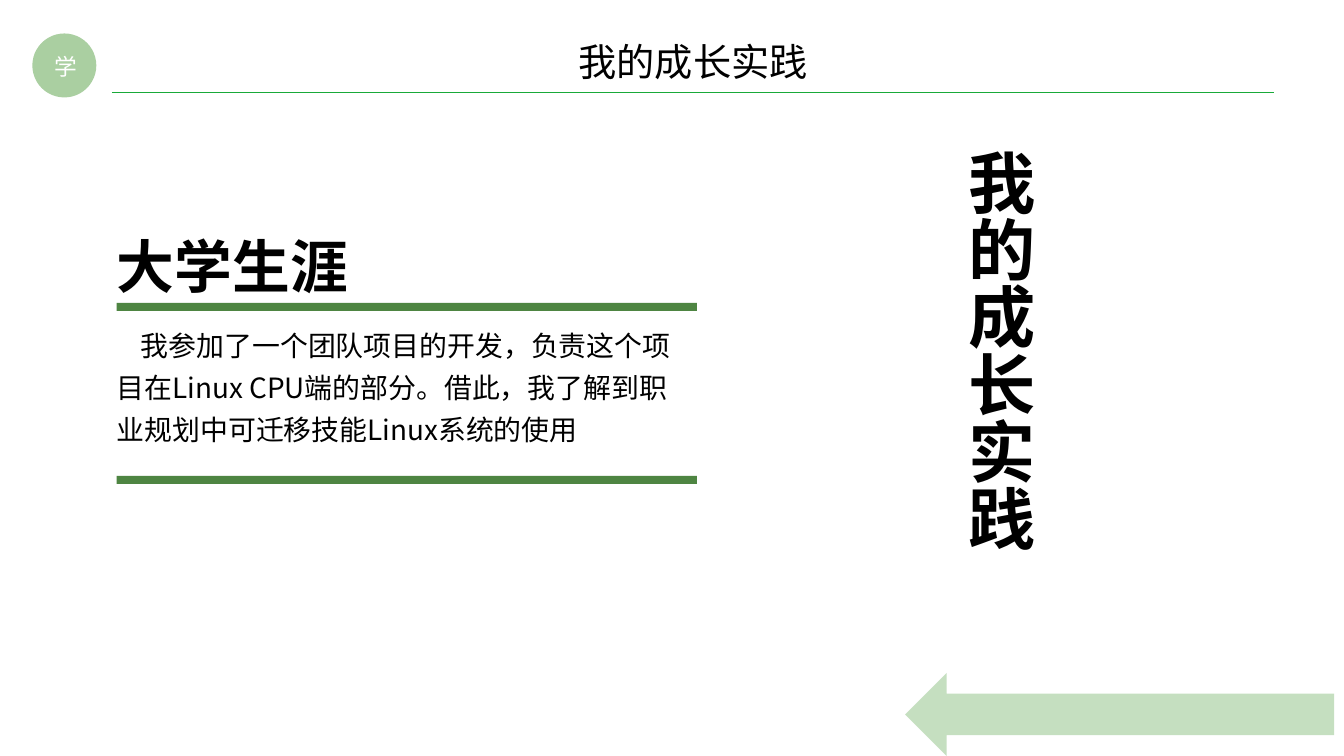
"""Build the slide about growth through practice at university."""
from dataclasses import dataclass

from lxml import etree
from pptx import Presentation
from pptx.dml.color import RGBColor
from pptx.enum.shapes import MSO_CONNECTOR, MSO_SHAPE
from pptx.enum.text import MSO_ANCHOR, MSO_AUTO_SIZE, PP_ALIGN
from pptx.oxml.ns import qn
from pptx.slide import Slide
from pptx.util import Cm, Pt

OVAL, RECTANGLE = MSO_SHAPE.OVAL, MSO_SHAPE.RECTANGLE
LEFT_ARROW, STRAIGHT = MSO_SHAPE.LEFT_ARROW, MSO_CONNECTOR.STRAIGHT
LEFT, CENTER = PP_ALIGN.LEFT, PP_ALIGN.CENTER
TOP, MIDDLE = MSO_ANCHOR.TOP, MSO_ANCHOR.MIDDLE
NO_FIT, FIT_SHAPE = MSO_AUTO_SIZE.NONE, MSO_AUTO_SIZE.SHAPE_TO_FIT_TEXT

FONT = "Noto Sans CJK SC"
TITLE = "我的成长实践"
COLORS = {
    "text": "000000",
    "badge_text": "FFFFFF",
    "badge": "AACFA1",
    "arrow": "8DC182",
    "bar": "4E8542",
    "title_line": "19AA39",
}
COLUMN_LEFT = 3.1
BAR_WIDTH = 15.42
NO_INSETS = (0, 0)
DEFAULT_INSETS = (0.25, 0.13)


@dataclass(frozen=True)
class Panel:
    kind: MSO_SHAPE
    left: float
    top: float
    width: float
    height: float
    color: str
    opacity: int = 100


@dataclass(frozen=True)
class Label:
    text: str
    left: float
    top: float
    width: float
    height: float
    size: float
    color: str = "text"
    bold: bool = False
    align: PP_ALIGN = LEFT
    anchor: MSO_ANCHOR = TOP
    insets: tuple[float, float] = NO_INSETS
    line_spacing: float = 1.0
    indent: float = 0
    vertical: bool = False


PANELS = [
    Panel(OVAL, 0.86, 0.89, 1.7, 1.7, "badge"),
    Panel(LEFT_ARROW, 24.05, 17.88, 11.4, 2.21, "arrow", opacity=50),
    Panel(RECTANGLE, COLUMN_LEFT, 8.05, BAR_WIDTH, 0.21, "bar"),
    Panel(RECTANGLE, COLUMN_LEFT, 12.65, BAR_WIDTH, 0.21, "bar"),
]

LABELS = [
    Label("学", 1.07, 1.19, 1.37, 1.14, 17.1, color="badge_text",
          align=CENTER, anchor=MIDDLE, insets=(0, 0.18)),
    Label(TITLE, 2.97, 0.89, 30.89, 1.57, 28.8, align=CENTER,
          insets=DEFAULT_INSETS),
    Label("大学生涯", COLUMN_LEFT, 6.5, 13.54, 1.47, 43.5, bold=True,
          anchor=MIDDLE, line_spacing=0.8),
    Label("我参加了一个团队项目的开发，负责这个项目在Linux CPU端的部分。"
          "借此，我了解到职业规划中可迁移技能Linux系统的使用",
          COLUMN_LEFT, 8.51, 15.21, 3.81, 21, line_spacing=1.25, indent=0.64),
    Label(TITLE, 25.22, 3.84, 2.67, 13.39, 50.6, bold=True,
          insets=DEFAULT_INSETS, vertical=True),
]


def rgb(name: str) -> RGBColor:
    return RGBColor.from_string(COLORS[name])


def draw_title_line(page: Slide) -> None:
    line = page.shapes.add_connector(
        STRAIGHT, Cm(2.97), Cm(2.46), Cm(33.86), Cm(2.46))
    line.line.color.rgb = rgb("title_line")
    line.line.width = Pt(0.5)
    etree.SubElement(line._element.spPr, qn("a:effectLst"))


def draw_panel(page: Slide, panel: Panel) -> None:
    shape = page.shapes.add_shape(
        panel.kind, Cm(panel.left), Cm(panel.top),
        Cm(panel.width), Cm(panel.height))
    shape.shadow.inherit = False
    shape.line.fill.background()
    shape.fill.solid()
    shape.fill.fore_color.rgb = rgb(panel.color)
    if panel.opacity < 100:
        color = shape._element.spPr.find(qn("a:solidFill"))[0]
        etree.SubElement(color, qn("a:alpha"), val=str(panel.opacity * 1000))


def draw_label(page: Slide, label: Label) -> None:
    box = page.shapes.add_textbox(
        Cm(label.left), Cm(label.top), Cm(label.width), Cm(label.height))
    frame = box.text_frame
    frame.word_wrap = True
    frame.auto_size = FIT_SHAPE if label.vertical else NO_FIT
    frame.vertical_anchor = label.anchor
    horizontal, vertical = (Cm(inset) for inset in label.insets)
    frame.margin_left = frame.margin_right = horizontal
    frame.margin_top = frame.margin_bottom = vertical
    if label.vertical:
        frame._txBody.bodyPr.set("vert", "eaVert")

    para = frame.paragraphs[0]
    para.text = label.text
    para.alignment = label.align
    para.line_spacing = label.line_spacing
    properties = para._p.get_or_add_pPr()
    if label.indent:
        properties.set("marL", "0")
        properties.set("indent", str(Cm(label.indent)))
    para.font.name = FONT
    para.font.size = Pt(label.size)
    para.font.bold = label.bold
    para.font.color.rgb = rgb(label.color)
    etree.SubElement(
        properties.find(qn("a:defRPr")), qn("a:ea"), typeface=FONT)


def main() -> None:
    deck = Presentation()
    deck.slide_width, deck.slide_height = Cm(35.71), Cm(20.09)
    page = deck.slides.add_slide(deck.slide_layouts[6])
    draw_title_line(page)
    for panel in PANELS:
        draw_panel(page, panel)
    for label in LABELS:
        draw_label(page, label)
    deck.save("out.pptx")


if __name__ == "__main__":
    main()
